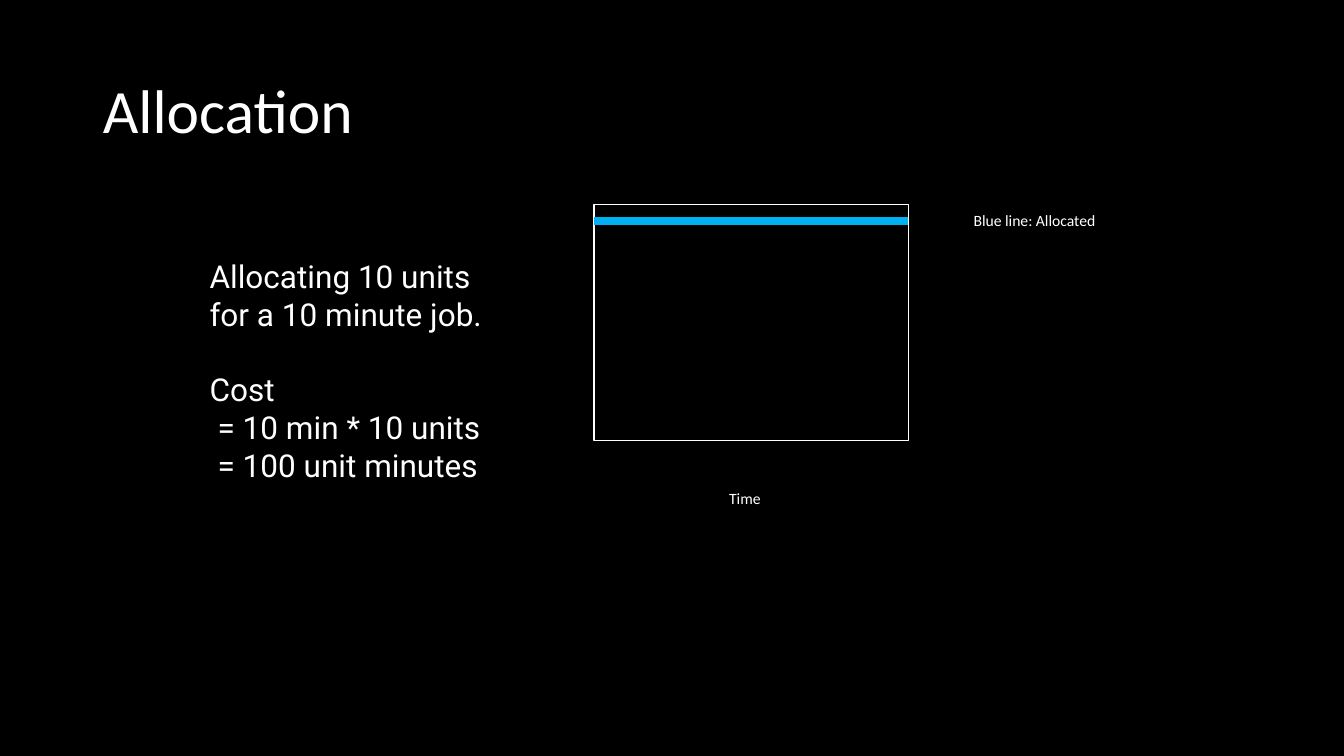
from pptx import Presentation
from pptx.dml.color import RGBColor
from pptx.enum.shapes import MSO_CONNECTOR as CONN, MSO_SHAPE as SHAPE
from pptx.enum.text import MSO_ANCHOR as ANCHOR, PP_ALIGN as ALIGN
from pptx.oxml.ns import qn
from pptx.util import Inches, Pt
from lxml import etree

TITLE = "Allocation"
COST_LINES = [
    ("Allocating 10 units", 0, 0),
    ("for a 10 minute job.", 0, 0),
    ("Cost", 27, 0),
    ("= 10 min * 10 units", 0, 0.08),
    ("= 100 unit minutes", 0, 0.08),
]
TIME = "Time"
LEGEND = "Blue line: Allocated"
COLORS = {"black": "000000", "white": "FFFFFF", "blue": "00B0F0"}

CHART_X, CHART_Y, CHART_W, CHART_H = 5.89, 2.03, 3.12, 2.34
ALLOCATED_Y = CHART_Y + 0.16
TIME_Y = CHART_Y + CHART_H + 0.32
LEGEND_X = CHART_X + CHART_W + 0.47


def rgb(name):
    return RGBColor.from_string(COLORS[name])


def box(*lengths):
    return [Inches(v) for v in lengths]


def style(p, size, font, align):
    p.alignment = align
    p.font.size = Pt(size)
    p.font.name = font
    p.font.color.rgb = rgb("white")


def label(sp, text):
    tf = sp.text_frame
    tf.word_wrap = True
    tf.vertical_anchor = ANCHOR.MIDDLE
    tf.text = text
    style(tf.paragraphs[0], 11.2, "Calibri", ALIGN.CENTER)


def black_shape(shapes, kind, *lengths):
    sp = shapes.add_shape(kind, *box(*lengths))
    sp.shadow.inherit = False
    sp.fill.solid()
    sp.fill.fore_color.rgb = rgb("black")
    return sp


prs = Presentation()
prs.slide_width, prs.slide_height = box(13.33, 7.5)
s = prs.slides.add_slide(prs.slide_layouts[5])
s.background.fill.solid()
s.background.fill.fore_color.rgb = rgb("black")

title = s.shapes.title
title.left, title.top, title.width, title.height = box(0.92, 0.4, 11.5, 1.45)
title.text_frame.text = TITLE
title.text_frame.vertical_anchor = ANCHOR.MIDDLE
p = title.text_frame.paragraphs[0]
p.line_spacing = 0.9
style(p, 44, "Calibri", ALIGN.LEFT)

cost = s.shapes.add_textbox(*box(1.98, 2.5, 3.59, 2.94))
tf = cost.text_frame
tf.word_wrap = True
tf.text = "\n".join(text for text, _, _ in COST_LINES)
for p, (_, before, indent) in zip(tf.paragraphs, COST_LINES):
    if before:
        p.space_before = Pt(before)
    if indent:
        p._p.get_or_add_pPr().set("marL", str(Inches(indent)))
    style(p, 22.5, "Roboto", ALIGN.LEFT)

arrow = black_shape(s.shapes, SHAPE.RIGHT_ARROW, CHART_X, TIME_Y, CHART_W, 0.5)
arrow.line.fill.background()
label(arrow, TIME)

chart = s.shapes.add_group_shape()
frame = black_shape(chart.shapes, SHAPE.RECTANGLE, CHART_X, CHART_Y, CHART_W, CHART_H)
frame.line.color.rgb = rgb("white")
frame.line.width = Pt(1)
allocated = chart.shapes.add_connector(
    CONN.STRAIGHT, *box(CHART_X, ALLOCATED_Y, CHART_X + CHART_W, ALLOCATED_Y))
allocated.line.color.rgb = rgb("blue")
allocated.line.width = Pt(6)
etree.SubElement(allocated._element.spPr, qn("a:effectLst"))

label(s.shapes.add_textbox(*box(LEGEND_X, CHART_Y, 1.56, 0.31)), LEGEND)

prs.save("out.pptx")
